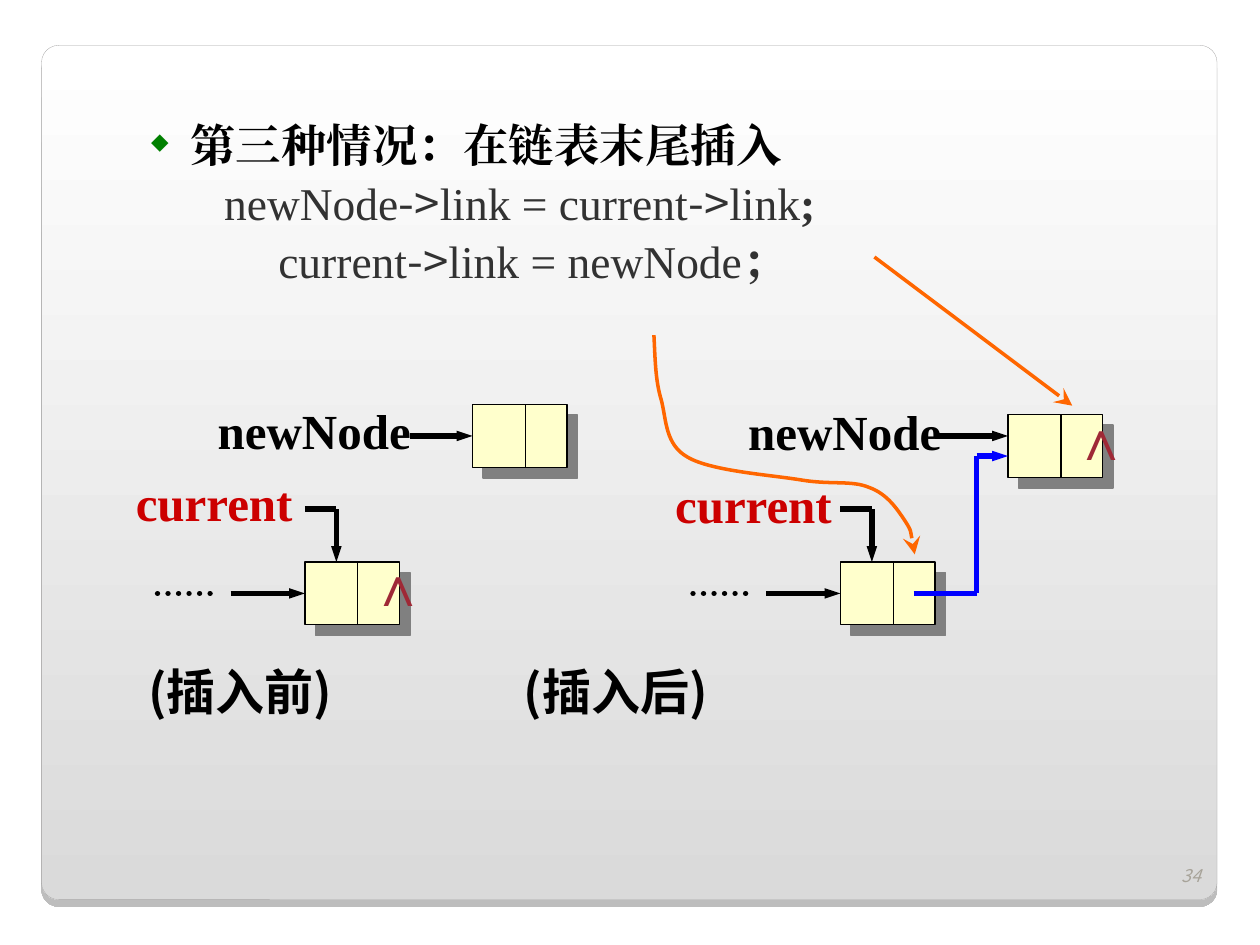
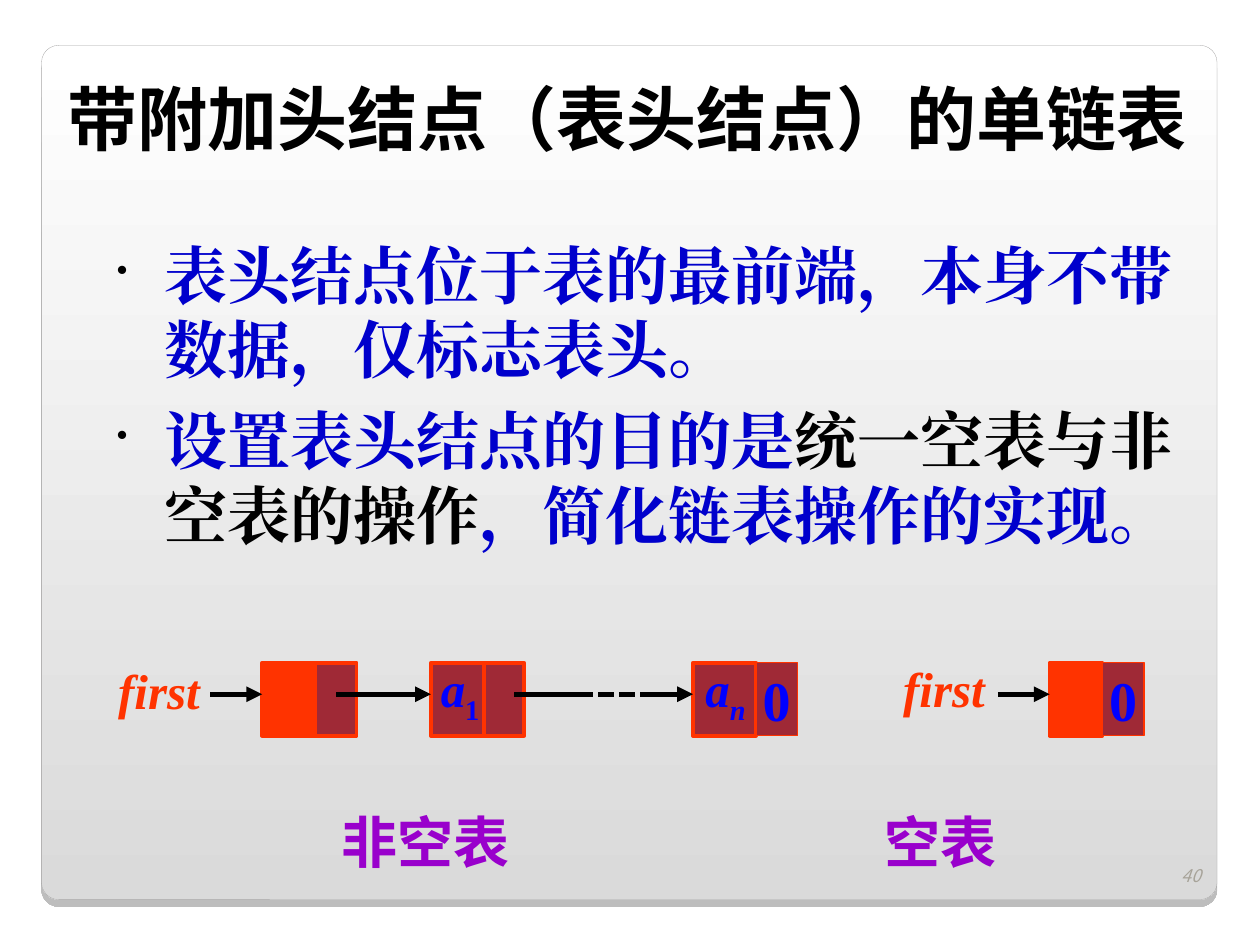
from dataclasses import dataclass, replace

from lxml import etree
from pptx import Presentation
from pptx.dml.color import RGBColor
from pptx.enum import dml, shapes, text
from pptx.oxml.ns import qn
from pptx.util import Inches, Pt


@dataclass(frozen=True)
class Type:
    font: str
    size: float
    color: str
    bold: bool = True
    italic: bool = False
    baseline: int = 0


class Theme:
    serif, sans = "Times New Roman", "Noto Sans CJK SC"
    black, blue, orange, red = "000000", "0000FF", "FF6600", "FF3300"
    cream, wine, grey, green = "FFFFCC", "9F2936", "808080", "008000"
    panel_top, panel_bottom, panel_edge = "FFFFFF", "DADADA", "A4A3A3"
    leading = 1.19
    title = Type(sans, 40, black)
    point = Type(serif, 36, "0000CC")
    heading = Type(serif, 26, black)
    code = Type(serif, 26, "323232", bold=False)
    operator = replace(code, font=sans)
    caption = Type(sans, 28, black)
    list_name = Type(sans, 32, "9900CC")
    new_node = Type(serif, 28, black)
    current = Type(serif, 28, "CC0000")
    null = Type("Arial", 32, wine)
    first = Type(serif, 28, red, italic=True)
    item = Type(serif, 28, blue, italic=True)
    zero = Type(serif, 32, blue)
    number = Type(sans, 10, "A7A399", bold=False, italic=True)


def write(frame, paragraphs, align=text.PP_ALIGN.LEFT, anchor=text.MSO_ANCHOR.TOP):
    """Fill a text frame; each paragraph is a list of (words, type) runs."""
    frame.word_wrap = True
    frame.vertical_anchor = anchor
    for i, runs in enumerate(paragraphs):
        paragraph = frame.paragraphs[0] if i == 0 else frame.add_paragraph()
        paragraph.alignment = align
        for words, kind in runs:
            run = paragraph.add_run()
            run.text = words
            run.font.name = kind.font
            run.font.size = Pt(kind.size)
            run.font.bold, run.font.italic = kind.bold, kind.italic
            run.font.color.rgb = RGBColor.from_string(kind.color)
            east_asian = etree.SubElement(run.font._element, qn("a:ea"))
            east_asian.set("typeface", kind.font)
            if kind.baseline:
                run.font._element.set("baseline", str(kind.baseline * 1000))
    return frame


def finish(shape, line, weight, fill=None, shadow=None, head=None):
    """Set line, fill, shadow (colour, alpha, points, angle) and arrowhead."""
    shape.line.color.rgb = RGBColor.from_string(line)
    shape.line.width = Pt(weight)
    if fill:
        shape.fill.solid()
        shape.fill.fore_color.rgb = RGBColor.from_string(fill)
    properties = shape._element.spPr
    if head:
        kind, width, length = head
        etree.SubElement(properties.find(qn("a:ln")), qn("a:tailEnd"),
                         type=kind, w=width, len=length)
    effects = etree.SubElement(properties, qn("a:effectLst"))
    if shadow:
        color, alpha, distance, angle = shadow
        outer = etree.SubElement(effects, qn("a:outerShdw"), blurRad="0",
                                 dist=str(Pt(distance)), dir=str(angle * 60000),
                                 algn="tl", rotWithShape="0")
        tint = etree.SubElement(outer, qn("a:srgbClr"), val=color)
        etree.SubElement(tint, qn("a:alpha"), val=str(alpha * 1000))


deck = Presentation()
deck.slide_width, deck.slide_height = Inches(10), Inches(7.5)
rectangle = shapes.MSO_SHAPE.RECTANGLE

# Shared panel and page number
pages = []
for number in ("34", "40"):
    page = deck.slides.add_slide(deck.slide_layouts[6])
    panel = page.shapes.add_shape(shapes.MSO_SHAPE.ROUNDED_RECTANGLE, Inches(0.33),
                                  Inches(0.36), Inches(9.33), Inches(6.78))
    panel.adjustments[0] = 0.02
    finish(panel, Theme.panel_edge, 0.17, shadow=(Theme.black, 25, 4, 90))
    panel.fill.gradient()
    panel.fill.gradient_angle = 270
    for stop, color in zip(panel.fill.gradient_stops,
                           (Theme.panel_top, Theme.panel_bottom)):
        stop.color.rgb = RGBColor.from_string(color)
    corner = page.shapes.add_textbox(Inches(9.13), Inches(6.68), Inches(0.5), Inches(0.4))
    write(corner.text_frame, [[(number, Theme.number)]],
          text.PP_ALIGN.RIGHT, text.MSO_ANCHOR.BOTTOM)
    pages.append(page)
insertion, header = pages

# Body texts: frame, paragraphs with margin and first-line indent, bullet
arrow = ("->", Theme.operator)
case = [
    [("第三种情况：在链表末尾插入", Theme.heading)],
    [("newNode", Theme.code), arrow, ("link = current", Theme.code), arrow,
     ("link", Theme.code), (";", replace(Theme.code, bold=True))],
    [("current", Theme.code), arrow, ("link = newNode", Theme.code),
     ("；", replace(Theme.code, bold=True))],
]
points = [
    [("表头结点位于表的最前端，本身不带数据，仅标志表头。", Theme.point)],
    [("设置表头结点的目的是", Theme.point),
     ("统一空表与非空表的操作", replace(Theme.point, color=Theme.black)),
     ("，简化链表操作的实现。", Theme.point)],
]
bodies = [
    (insertion, (0.72, 0.88, 8.65, 4.45), case, 2.5, [(0.69, -0.31), (0.96, 0), (1.39, 0)],
     "◆", Theme.green),
    (header, (0.83, 1.83, 8.75, 2.67), points, 9, [(0.38, -0.38)] * 2, "•", Theme.black),
]
for page, place, paragraphs, gap, indents, bullet, bullet_color in bodies:
    body = page.shapes.add_textbox(*map(Inches, place))
    write(body.text_frame, paragraphs)
    for i, (paragraph, (margin, indent)) in enumerate(zip(body.text_frame.paragraphs, indents)):
        layout = paragraph._p.get_or_add_pPr()
        layout.set("marL", str(Inches(margin)))
        layout.set("indent", str(Inches(indent)))
        if indent:
            tint = etree.SubElement(layout, qn("a:buClr"))
            etree.SubElement(tint, qn("a:srgbClr"), val=bullet_color)
            etree.SubElement(layout, qn("a:buSzPct"), val="50000")
            etree.SubElement(layout, qn("a:buChar"), char=bullet)
        paragraph.line_spacing = Pt(round(paragraphs[0][0][1].size * Theme.leading, 1))
        if i:
            paragraph.space_before = Pt(gap)

# Insertion: two-part nodes, before and after
half = 0.42
nodes, links = {}, []
for name, x, y in [("tail before", 2.42, 4.46), ("new before", 3.75, 3.21),
                   ("tail after", 6.67, 4.46), ("new after", 8, 3.29)]:
    node = insertion.shapes.add_shape(rectangle, Inches(x), Inches(y), Inches(0.75), Inches(0.5))
    finish(node, Theme.black, 0.75, Theme.cream, (Theme.grey, 100, 8.5, 45))
    nodes[name] = node
    links.append((insertion, (x + half, y, x + half, y + 0.5), Theme.black, 0.75, None, None, None))

# Insertion: pointers, as page, ends, colour, weight, dash, head, node joined
slim, wide, barb = ("triangle", "sm", "med"), ("triangle", "med", "med"), ("stealth", "lg", "lg")
dots = dml.MSO_LINE.ROUND_DOT
for x, tail in [(2.42, "tail before"), (6.67, "tail after")]:
    links += [
        (insertion, (x - 1.17, 4.71, x - 0.67, 4.71), Theme.black, 3, dots, None, None),
        (insertion, (x - 0.59, 4.71, x, 4.71), Theme.black, 3, None, slim, nodes[tail]),
        (insertion, (x, 4.04, x + 0.25, 4.04), Theme.black, 3, None, None, None),
        (insertion, (x + 0.25, 4.04, x + 0.25, 4.46), Theme.black, 3, None, slim, None),
    ]
links += [
    (insertion, (3.25, 3.46, 3.75, 3.46), Theme.black, 3, None, slim, nodes["new before"]),
    (insertion, (7.42, 3.46, 8, 3.46), Theme.black, 3, None, slim, None),
    (insertion, (7.25, 4.71, 7.75, 4.71), Theme.blue, 3, None, None, None),
    (insertion, (7.75, 4.71, 7.75, 3.62), Theme.blue, 3, None, None, None),
    (insertion, (7.75, 3.62, 8, 3.62), Theme.blue, 3, None, slim, None),
    (insertion, (6.94, 2.04, 8.51, 3.22), Theme.orange, 2, None, barb, None),
]

# Insertion: curved arrow, three points to each Bézier piece
bends = [(5.2, 2.84), (5.2, 3.02), (5.25, 3.18), (5.29, 3.34), (5.28, 3.53), (5.46, 3.63),
         (5.65, 3.74), (6.12, 3.77), (6.36, 3.81), (6.6, 3.85), (6.76, 3.81), (6.9, 3.87),
         (7.04, 3.92), (7.12, 4.04), (7.18, 4.13), (7.24, 4.22), (7.25, 4.35), (7.26, 4.4)]
builder = insertion.shapes.build_freeform(Inches(5.19), Inches(2.66))
builder.add_line_segments([(Inches(x), Inches(y)) for x, y in bends], close=False)
swoop = builder.convert_to_shape()
swoop.fill.background()
finish(swoop, Theme.orange, 2, head=barb)
outline = next(swoop._element.iter(qn("a:path")))
segments = outline.findall(qn("a:lnTo"))
for i in range(0, len(segments), 3):
    bezier = etree.SubElement(outline, qn("a:cubicBezTo"))
    for segment in segments[i:i + 3]:
        bezier.append(segment[0])
        outline.remove(segment)

# Header node: cells, as left, width, fill, line weight, text
for x, width, fill, weight, value in [
    (2.5, 0.33, Theme.wine, 2.25, ""), (2.08, half, Theme.red, 2.25, ""),
    (3.83, 0.33, Theme.wine, 2.25, ""), (3.42, half, Theme.wine, 2.25, ""),
    (5.5, 0.5, Theme.wine, 2.25, ""), (6, 0.33, Theme.wine, 0.75, "0"),
    (8.33, half, Theme.red, 2.25, ""), (8.75, 0.33, Theme.wine, 0.75, "0"),
]:
    cell = header.shapes.add_shape(rectangle, Inches(x), Inches(5.26), Inches(width), Inches(0.58))
    finish(cell, Theme.red, weight, fill)
    if value:
        cell.text_frame.margin_left = cell.text_frame.margin_right = 0
        write(cell.text_frame, [[(value, Theme.zero)]],
              text.PP_ALIGN.CENTER, text.MSO_ANCHOR.MIDDLE)

# Header node: pointers
for start, end, dash, head in [
    (1.67, 2.08, None, wide), (2.67, 3.42, None, wide), (4.08, 4.58, None, None),
    (4.58, 5.08, dml.MSO_LINE.SQUARE_DOT, None), (5.08, 5.5, None, wide),
    (7.92, 8.33, None, wide),
]:
    links.append((header, (start, 5.51, end, 5.51), Theme.black, 3, dash, head, None))

# Draw every pointer and divider
for page, ends, color, weight, dash, head, target in links:
    link = page.shapes.add_connector(shapes.MSO_CONNECTOR.STRAIGHT, *map(Inches, ends))
    if target is not None:
        link.end_connect(target, 1)
    if dash:
        link.line.dash_style = dash
    finish(link, color, weight, head=head)
    if dash == dots:
        link._element.spPr.find(qn("a:ln")).set("cap", "rnd")

# Title and labels
left, right, center = text.PP_ALIGN.LEFT, text.PP_ALIGN.RIGHT, text.PP_ALIGN.CENTER
top, middle = text.MSO_ANCHOR.TOP, text.MSO_ANCHOR.MIDDLE
a_1 = [("a", Theme.item), ("1", replace(Theme.item, italic=False, baseline=-25))]
a_n = [("a", Theme.item), ("n", replace(Theme.item, baseline=-25))]
for page, place, runs, align, anchor in [
    (header, (0.35, 0.52, 9.25, 0.83), [("带附加头结点（表头结点）的单链表", Theme.title)], center, middle),
    (header, (0.84, 5.19, 1, 0.57), [("first", Theme.first)], left, top),
    (header, (7.07, 5.18, 1, 0.57), [("first", Theme.first)], left, top),
    (header, (3.4, 5.18, 0.7, 0.63), a_1, left, top),
    (header, (5.5, 5.18, 0.7, 0.63), a_n, left, top),
    (header, (2.61, 6.36, 2, 0.66), [("非空表", Theme.list_name)], left, top),
    (header, (6.92, 6.36, 2, 0.66), [("空表", Theme.list_name)], left, top),
    (insertion, (1.08, 5.2, 2.5, 0.57), [("(插入前)", Theme.caption)], left, top),
    (insertion, (4.06, 5.2, 2.5, 0.57), [("(插入后)", Theme.caption)], left, top),
    (insertion, (1.63, 3.13, 1.8, 0.57), [("newNode", Theme.new_node)], left, top),
    (insertion, (5.84, 3.14, 1.8, 0.57), [("newNode", Theme.new_node)], left, top),
    (insertion, (0.92, 3.7, 1.5, 0.57), [("current", Theme.current)], right, top),
    (insertion, (5.2, 3.72, 1.5, 0.57), [("current", Theme.current)], right, top),
    (insertion, (2.84, 4.32, 0.7, 0.64), [("∧", Theme.null)], left, top),
    (insertion, (8.42, 3.16, 0.7, 0.64), [("∧", Theme.null)], left, top),
]:
    label = page.shapes.add_textbox(*map(Inches, place))
    write(label.text_frame, [runs], align, anchor)

deck.save("out.pptx")
